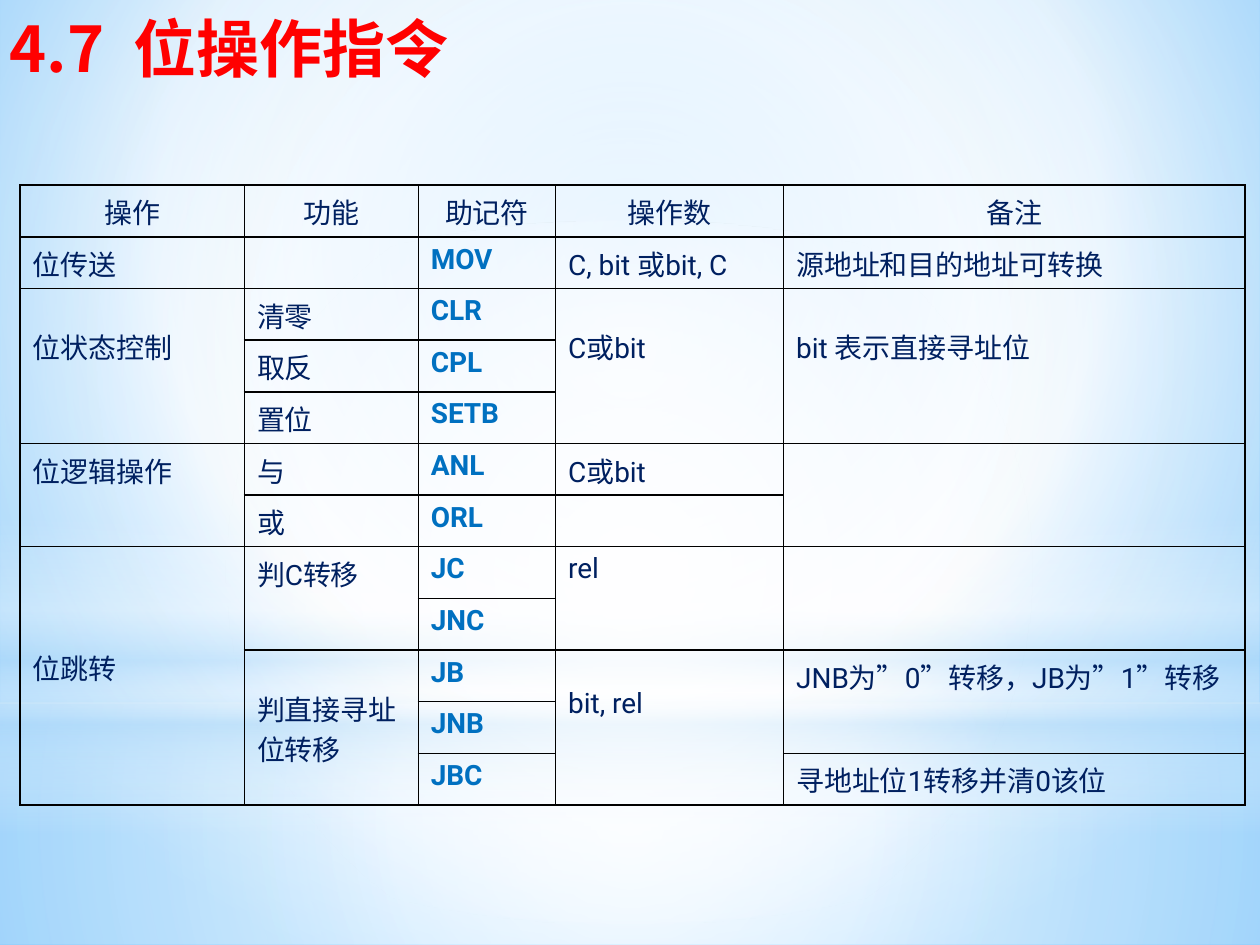
from dataclasses import dataclass

from lxml.etree import SubElement
from pptx import Presentation
from pptx.dml.color import RGBColor
from pptx.enum.shapes import MSO_SHAPE
from pptx.enum.text import PP_ALIGN
from pptx.oxml import parse_xml
from pptx.oxml.ns import nsdecls, qn
from pptx.util import Inches, Pt


@dataclass(frozen=True)
class Theme:
    latin_font: str = "Roboto"
    chinese_font: str = "Noto Sans CJK SC"
    title_size: int = 36
    table_size: int = 16
    title_color: str = "FF0000"
    text_color: str = "002060"
    mnemonic_color: str = "0070C0"
    border_color: str = "000000"
    white: str = "FFFFFF"
    haze: str = "B4DCFA"
    sky: str = "9ED5FF"
    deep_sky: str = "5BB9FF"


THEME = Theme()
CENTER = (50, 50, 50, 50)
MNEMONIC_COLUMN = 2
COLUMN_WIDTHS = (1.78, 1.38, 1.09, 1.81, 3.66)
ROW_HEIGHT = 0.41
CELL_MARGIN = 0.05
LINE_HEIGHT = 0.25

ROWS = (
    ("操作", "功能", "助记符", "操作数", "备注"),
    ("位传送", "", "MOV", "C, bit 或bit, C", "源地址和目的地址可转换"),
    ("位状态控制", "清零", "CLR", "C或bit", "bit 表示直接寻址位"),
    ("", "取反", "CPL", "", ""),
    ("", "置位", "SETB", "", ""),
    ("位逻辑操作", "与", "ANL", "C或bit", ""),
    ("", "或", "ORL", "", ""),
    ("位跳转", "判C转移", "JC", "rel", ""),
    ("", "", "JNC", "", ""),
    ("", "判直接寻址位转移", "JB", "bit, rel", "JNB为”0”转移，JB为”1”转移"),
    ("", "", "JNB", "", ""),
    ("", "", "JBC", "", "寻地址位1转移并清0该位"),
)
# (row, column): (rows spanned, lines the text is lowered by)
SPANS = {
    (2, 0): (3, 1), (2, 3): (3, 1), (2, 4): (3, 1),
    (5, 0): (2, 0), (5, 4): (2, 0),
    (7, 0): (5, 3), (7, 1): (2, 0), (7, 3): (2, 0), (7, 4): (2, 0),
    (9, 1): (3, 1), (9, 3): (3, 1), (9, 4): (2, 0),
}


def set_gradient(fill, owner, stops, focus=None, angle=90):
    """Fill with (position, colour, opacity) stops, circular around focus or linear."""
    fill.gradient()
    gradient = next(owner.iter(qn("a:gradFill")))
    for child in list(gradient):
        gradient.remove(child)
    stop_list = SubElement(gradient, qn("a:gsLst"))
    for position, color, opacity in stops:
        stop = SubElement(stop_list, qn("a:gs"), pos=str(position * 1000))
        color_element = SubElement(stop, qn("a:srgbClr"), val=color)
        if opacity < 100:
            SubElement(color_element, qn("a:alpha"), val=str(opacity * 1000))
    if focus:
        circle = SubElement(gradient, qn("a:path"), path="circle")
        edges = {side: str(value * 1000) for side, value in zip("ltrb", focus)}
        SubElement(circle, qn("a:fillToRect"), **edges)
    else:
        SubElement(gradient, qn("a:lin"), ang=str(angle * 60000), scaled="0")


def add_glow(slide, kind, top, height, stops, focus=CENTER):
    """Add a full-width translucent layer."""
    shape = slide.shapes.add_shape(kind, 0, Inches(top), Inches(10), Inches(height))
    shape.shadow.inherit = False
    shape.line.fill.background()
    set_gradient(shape.fill, shape._element, stops, focus)


def add_backdrop(slide):
    white, haze = THEME.white, THEME.haze
    set_gradient(slide.background.fill, slide._element,
                 ((0, THEME.sky, 100), (60, white, 100), (100, THEME.deep_sky, 100)),
                 (20, 10, 20, 60))
    add_glow(slide, MSO_SHAPE.RECTANGLE, 5.58, 1.92,
             ((0, white, 91), (37, white, 76), (100, haze, 79)))
    add_glow(slide, MSO_SHAPE.RECTANGLE, 0, 5.58,
             ((0, white, 89), (48, white, 62), (100, haze, 79)))
    add_glow(slide, MSO_SHAPE.RECTANGLE, 4.12, 2.5,
             ((0, white, 0), (29, white, 30), (45, haze, 40),
              (55, white, 26), (65, haze, 60), (100, white, 0)), focus=None)
    add_glow(slide, MSO_SHAPE.OVAL, 1.75, 5.58, ((0, white, 100), (56, white, 0)))


def format_runs(paragraph, font_name, size, color, bold):
    for run in paragraph.runs:
        run.font.name = font_name
        run.font.size = Pt(size)
        run.font.bold = bold
        run.font.color.rgb = RGBColor.from_string(color)
        SubElement(run.font._element, qn("a:ea"), typeface=THEME.chinese_font)


def add_title(slide, text):
    box = slide.shapes.add_textbox(Inches(-0.02), Inches(0.03), Inches(9), Inches(0.87))
    box.text_frame.word_wrap = True
    box.text_frame.text = text
    format_runs(box.text_frame.paragraphs[0], THEME.chinese_font,
                THEME.title_size, THEME.title_color, True)


def set_borders(cell):
    properties = cell._tc.get_or_add_tcPr()
    for index, side in enumerate("LRTB"):
        properties.insert(index, parse_xml(
            f'<a:ln{side} {nsdecls("a")} w="{Pt(1)}"><a:solidFill>'
            f'<a:srgbClr val="{THEME.border_color}"/></a:solidFill></a:ln{side}>'))


def fill_cell(cell, text, is_header, is_mnemonic):
    cell.text_frame.text = text
    paragraph = cell.text_frame.paragraphs[0]
    if is_header:
        paragraph.alignment = PP_ALIGN.CENTER
    color = THEME.mnemonic_color if is_mnemonic else THEME.text_color
    format_runs(paragraph, THEME.latin_font, THEME.table_size, color, is_mnemonic)
    cell.fill.background()
    set_borders(cell)


def add_instruction_table(slide):
    frame = slide.shapes.add_table(
        len(ROWS), len(COLUMN_WIDTHS), Inches(0.16), Inches(1.47),
        Inches(sum(COLUMN_WIDTHS)), Inches(ROW_HEIGHT * len(ROWS)))
    table = frame.table
    table.first_row = False
    table.horz_banding = False
    for column, width in zip(table.columns, COLUMN_WIDTHS):
        column.width = Inches(width)
    for row_index, texts in enumerate(ROWS):
        table.rows[row_index].height = Inches(ROW_HEIGHT)
        for column_index, text in enumerate(texts):
            is_header = row_index == 0
            fill_cell(table.cell(row_index, column_index), text, is_header,
                      column_index == MNEMONIC_COLUMN and not is_header)
    for (row, column), (row_count, lowered_lines) in SPANS.items():
        cell = table.cell(row, column)
        cell.merge(table.cell(row + row_count - 1, column))
        cell.margin_top = Inches(CELL_MARGIN + LINE_HEIGHT * lowered_lines)


def main():
    presentation = Presentation()
    presentation.slide_width = Inches(10)
    presentation.slide_height = Inches(7.5)
    slide = presentation.slides.add_slide(presentation.slide_layouts[6])
    add_backdrop(slide)
    add_title(slide, "4.7  位操作指令")
    add_instruction_table(slide)
    presentation.save("out.pptx")


if __name__ == "__main__":
    main()
